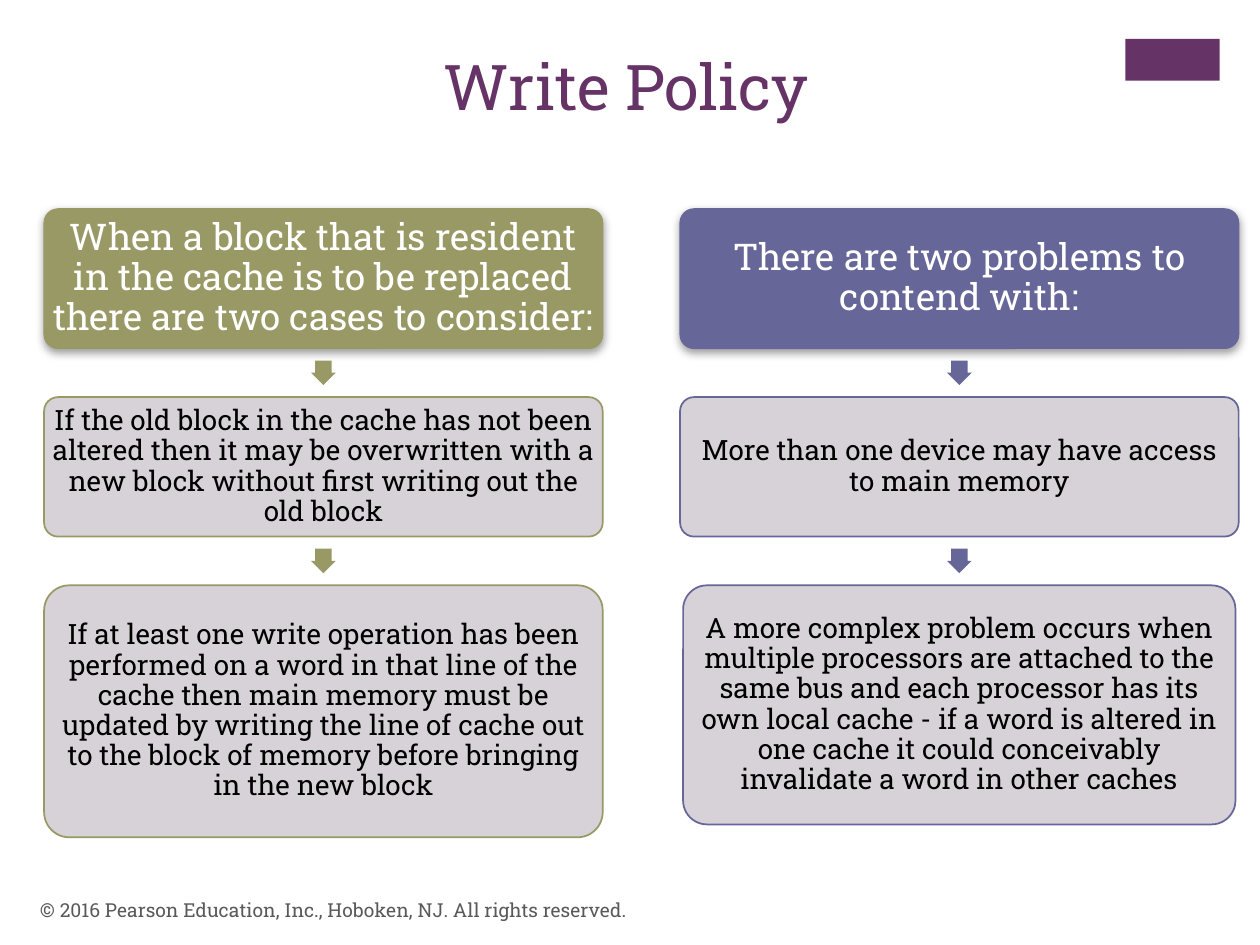
from lxml import etree
from pptx import Presentation
from pptx.dml.color import RGBColor
from pptx.enum.shapes import MSO_SHAPE
from pptx.enum.text import MSO_ANCHOR, PP_ALIGN
from pptx.oxml.ns import qn
from pptx.util import Pt

FONT = "Roboto Slab"
PLUM = RGBColor(0x66, 0x33, 0x66)
OLIVE = RGBColor(0x99, 0x99, 0x66)
INDIGO = RGBColor(0x66, 0x66, 0x99)
PALE = RGBColor(0xD3, 0xCE, 0xD3)
WHITE = RGBColor(0xFF, 0xFF, 0xFF)
BLACK = RGBColor(0, 0, 0)
GREY = RGBColor(0x59, 0x59, 0x59)

BOX_HEIGHT = 79.7
ARROW_SIZE = 13.95
ARROW_GAP = 6.95

# Each column: left, colour, heading, then steps as (text, width, height)
COLUMN_TOP, COLUMN_WIDTH = 119.4, 319.2
COLUMNS = [
    (25.2, OLIVE,
     "When a block that is resident in the cache is to be replaced there are "
     "two cases to consider:",
     [("If the old block in the cache has not been altered then it may be "
       "overwritten with a new block without first writing out the old block",
       COLUMN_WIDTH, BOX_HEIGHT),
      ("If at least one write operation has been performed on a word in that "
       "line of the cache then main memory must be updated by writing the line "
       "of cache out to the block of memory before bringing in the new block",
       COLUMN_WIDTH, 144)]),
    (388.6, INDIGO,
     "There are two problems to contend with:",
     [("More than one device may have access to main memory",
       COLUMN_WIDTH, BOX_HEIGHT),
      ("A more complex problem occurs when multiple processors are attached to "
       "the same bus and each processor has its own local cache - if a word is "
       "altered in one cache it could conceivably invalidate a word in other "
       "caches",
       315.6, 136.6)]),
]


def write_text(shape, text, size, color, align=PP_ALIGN.LEFT,
               anchor=MSO_ANCHOR.MIDDLE, inset=None, line_spacing=None):
    frame = shape.text_frame
    frame.word_wrap = True
    frame.vertical_anchor = anchor
    if inset is not None:
        frame.margin_left = frame.margin_right = Pt(inset)
        frame.margin_top = frame.margin_bottom = Pt(inset)
    paragraph = frame.paragraphs[0]
    paragraph.alignment = align
    paragraph.line_spacing = line_spacing
    run = paragraph.add_run()
    run.text = text
    run.font.name = FONT
    run.font.size = Pt(size)
    run.font.color.rgb = color


def add_filled(slide, kind, left, top, width, height, fill, line=None, weight=1):
    shape = slide.shapes.add_shape(kind, Pt(left), Pt(top), Pt(width), Pt(height))
    shape.shadow.inherit = False
    shape.fill.solid()
    shape.fill.fore_color.rgb = fill
    if line is None:
        shape.line.fill.background()
    else:
        shape.line.color.rgb = line
        shape.line.width = Pt(weight)
    return shape


def set_alpha(color_element, percent):
    etree.SubElement(color_element, qn("a:alpha"), val=str(percent * 1000))


def add_soft_shadow(shape):
    effects = shape._element.spPr.find(qn("a:effectLst"))
    shadow = etree.SubElement(effects, qn("a:outerShdw"), blurRad=str(Pt(5)),
                              dist=str(Pt(2)), dir="5400000", rotWithShape="0")
    set_alpha(etree.SubElement(shadow, qn("a:srgbClr"), val="808080"), 75)


def add_heading_box(slide, left, top, width, height, text, color):
    box = add_filled(slide, MSO_SHAPE.ROUNDED_RECTANGLE, left, top, width, height,
                     color, color, 0.75)
    box.adjustments[0] = 0.1
    add_soft_shadow(box)
    write_text(box, text, 21, WHITE, align=PP_ALIGN.CENTER, inset=2.1,
               line_spacing=0.9)


def add_step_box(slide, left, top, width, height, text, color):
    box = add_filled(slide, MSO_SHAPE.ROUNDED_RECTANGLE, left, top, width, height,
                     PALE, color)
    box.adjustments[0] = 0.1
    set_alpha(box._element.spPr.find(qn("a:solidFill")).find(qn("a:srgbClr")), 90)
    write_text(box, text, 16, BLACK, align=PP_ALIGN.CENTER, inset=1.6,
               line_spacing=0.9)


def add_arrow(slide, center, top, color):
    arrow = add_filled(slide, MSO_SHAPE.RIGHT_ARROW, center - ARROW_SIZE / 2, top,
                       ARROW_SIZE, ARROW_SIZE, color)
    arrow.adjustments[0] = 0.667
    arrow.adjustments[1] = 0.5
    arrow.rotation = 90


def add_column(slide, left, top, width, color, heading, steps):
    center = left + width / 2
    add_heading_box(slide, left, top, width, BOX_HEIGHT, heading, color)
    bottom = top + BOX_HEIGHT
    for text, step_width, step_height in steps:
        add_arrow(slide, center, bottom + ARROW_GAP, color)
        step_top = bottom + 2 * ARROW_GAP + ARROW_SIZE
        add_step_box(slide, center - step_width / 2, step_top, step_width,
                     step_height, text, color)
        bottom = step_top + step_height


def place_title(slide, left, top, width, height):
    title = slide.shapes.title
    title.left, title.top = Pt(left), Pt(top)
    title.width, title.height = Pt(width), Pt(height)
    write_text(title, "Write Policy", 36, PLUM, anchor=MSO_ANCHOR.TOP)


def add_footer(slide, left, top, width, height):
    footer = slide.shapes.add_textbox(Pt(left), Pt(top), Pt(width), Pt(height))
    write_text(footer, "© 2016 Pearson Education, Inc., Hoboken, NJ. "
               "All rights reserved.", 11, GREY)


def main():
    presentation = Presentation()
    presentation.slide_width, presentation.slide_height = Pt(720), Pt(540)
    slide = presentation.slides.add_slide(presentation.slide_layouts[5])

    # Corner accent
    add_filled(slide, MSO_SHAPE.RECTANGLE, 643, 22.3, 54, 23.8, PLUM)

    # Two flows, side by side
    for left, color, heading, steps in COLUMNS:
        add_column(slide, left, COLUMN_TOP, COLUMN_WIDTH, color, heading, steps)

    # Title and copyright line
    place_title(slide, 246.5, 23.8, 234.7, 87.8)
    add_footer(slide, 15.8, 505.4, 482.4, 28.8)

    presentation.save("out.pptx")


if __name__ == "__main__":
    main()
